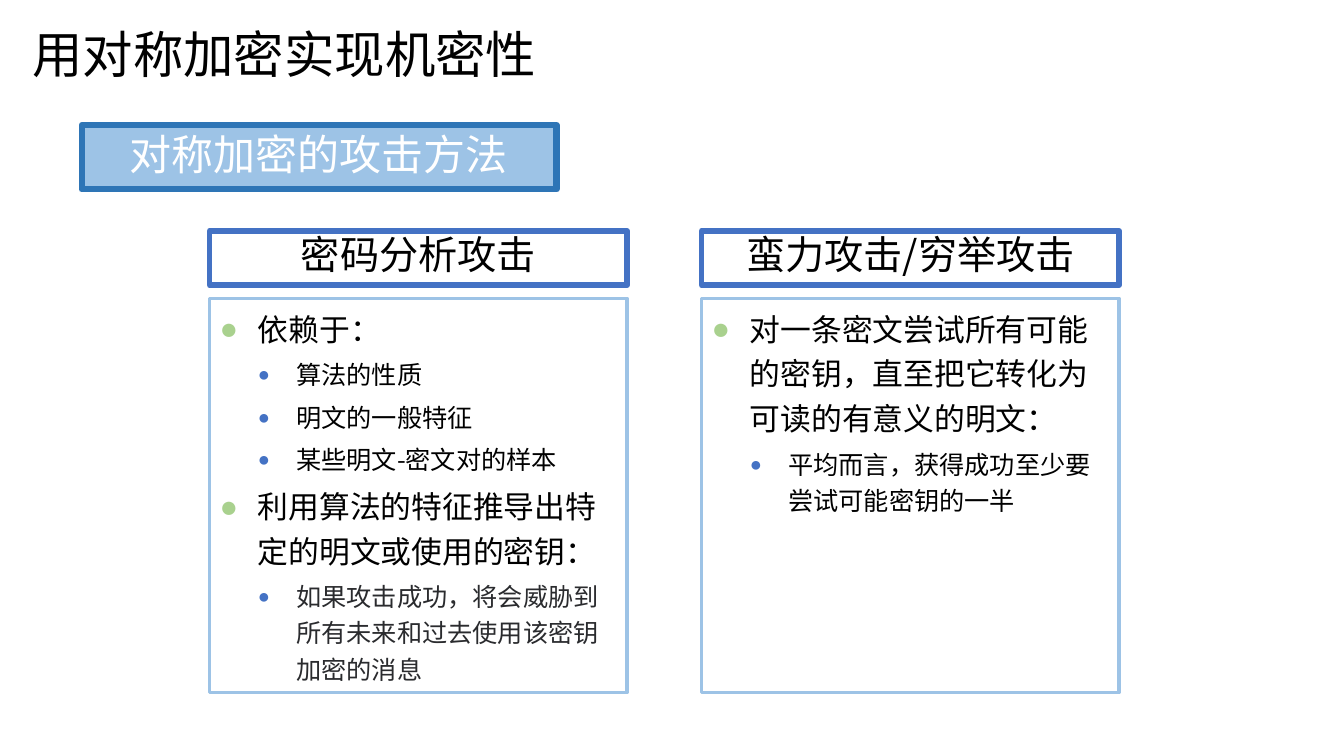
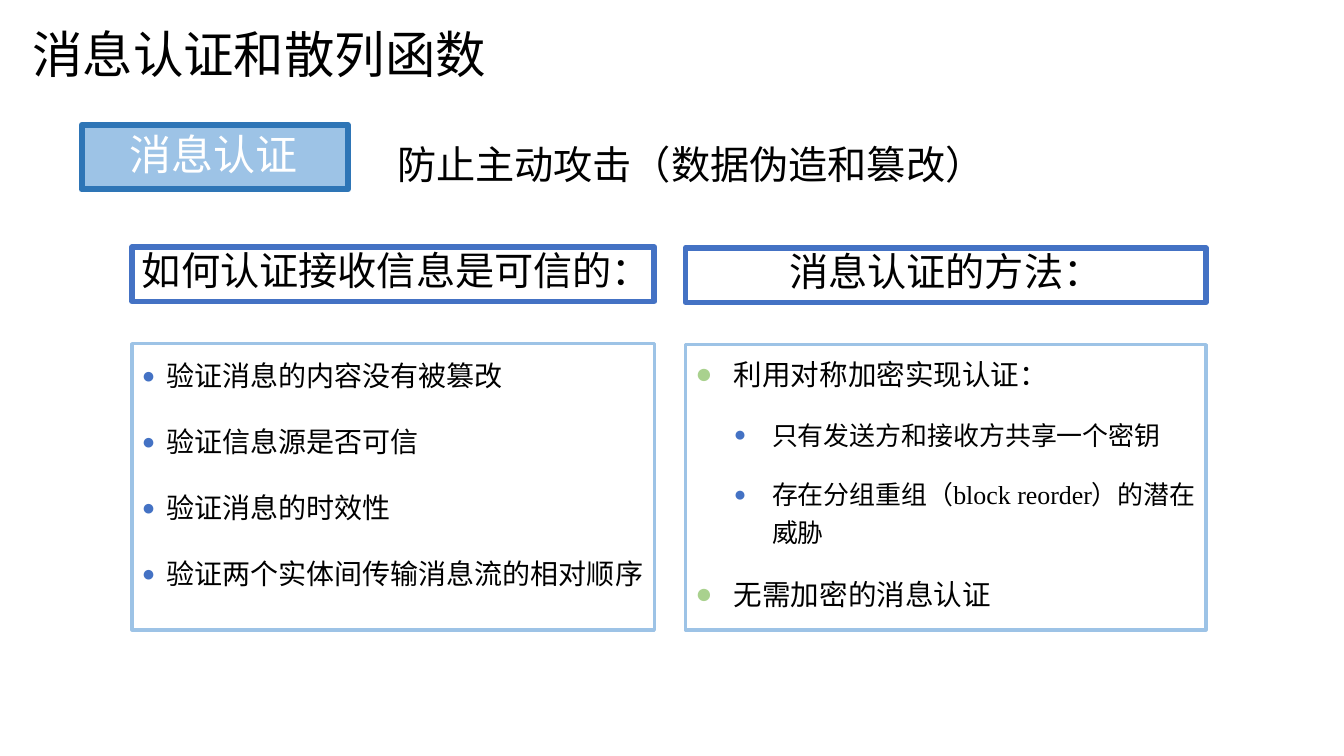
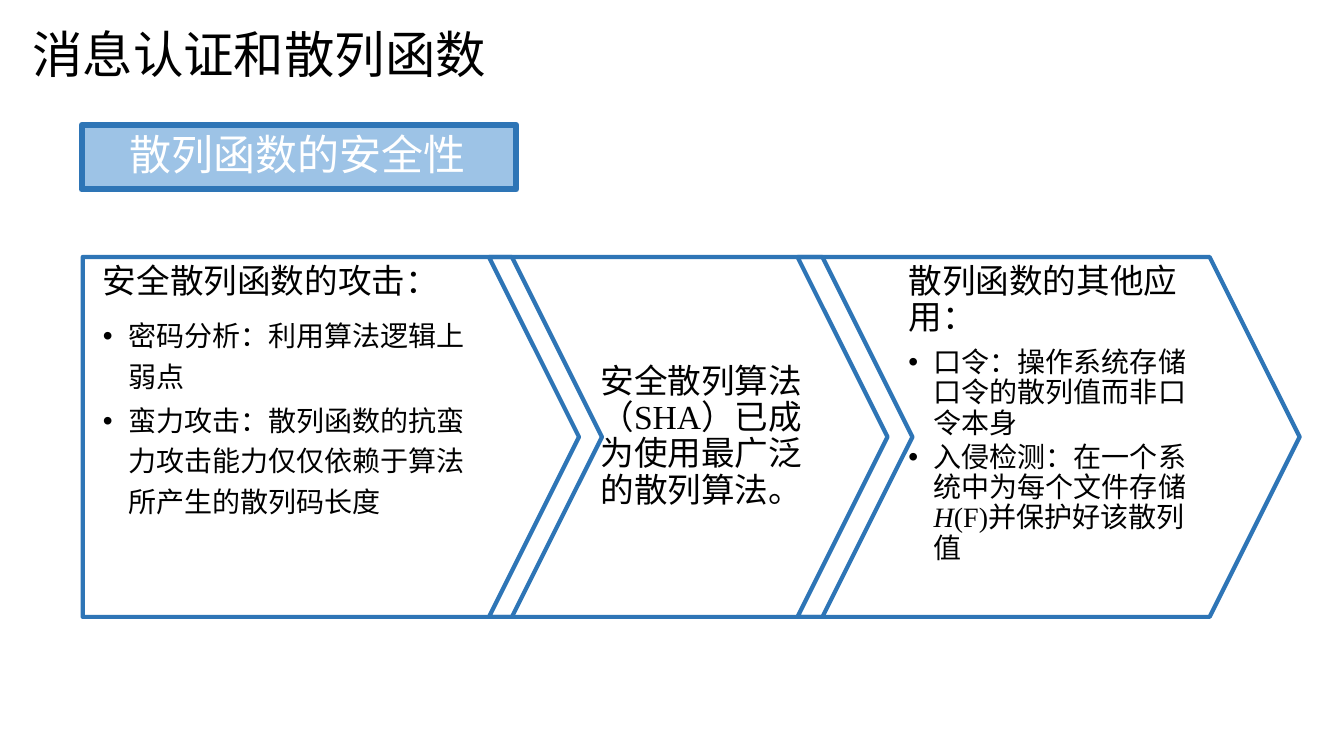
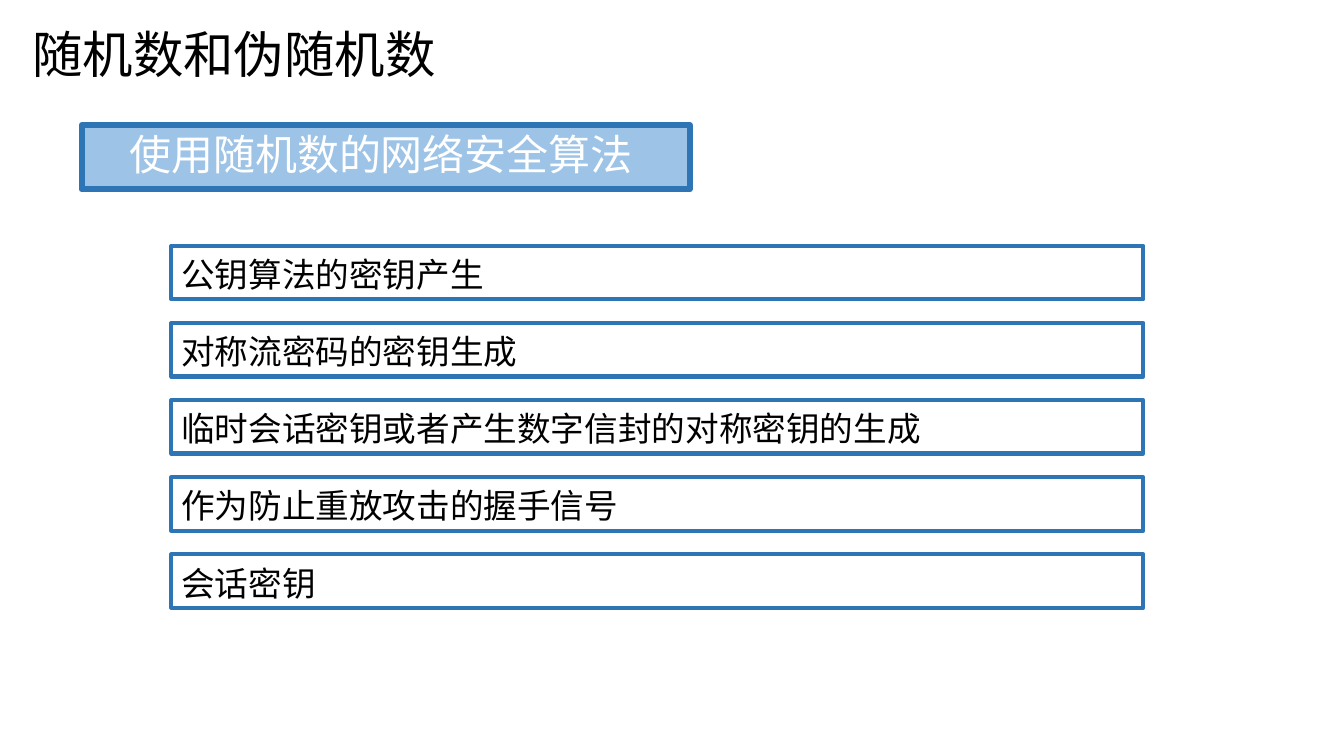
"""Build four slides on symmetric encryption, message authentication and random numbers."""
from dataclasses import dataclass, replace
from lxml import etree
from pptx import Presentation
from pptx.dml.color import RGBColor
from pptx.enum.shapes import MSO_SHAPE
from pptx.enum.text import MSO_ANCHOR, PP_ALIGN
from pptx.oxml.ns import qn
from pptx.util import Inches, Pt

RECTANGLE = MSO_SHAPE.RECTANGLE
PENTAGON = MSO_SHAPE.PENTAGON
CHEVRON = MSO_SHAPE.CHEVRON
LEFT, CENTER, JUSTIFY = PP_ALIGN.LEFT, PP_ALIGN.CENTER, PP_ALIGN.JUSTIFY
TOP, MIDDLE = MSO_ANCHOR.TOP, MSO_ANCHOR.MIDDLE

BLACK = RGBColor(0x00, 0x00, 0x00)
WHITE = RGBColor(0xFF, 0xFF, 0xFF)
CHARCOAL = RGBColor(0x2A, 0x2B, 0x2E)
SKY = RGBColor(0x9D, 0xC3, 0xE6)
BLUE = RGBColor(0x44, 0x72, 0xC4)
DEEP_BLUE = RGBColor(0x2E, 0x75, 0xB6)
GREEN = RGBColor(0xA9, 0xD1, 0x8E)

SANS = "Noto Sans CJK SC"
SERIF = "Times New Roman"
DEFAULT_INSETS = (0.1, 0.05, 0.1, 0.05)


@dataclass(frozen=True)
class Style:
    """Look of one paragraph."""
    size: float
    font: str = SANS
    color: RGBColor = BLACK
    align: int = LEFT
    level: int = 0
    spacing: float = 1.0
    before: float = 0
    after: float = 0
    bullet: str = ""
    bullet_color: RGBColor = BLACK
    bullet_percent: int = 100
    indent: float = 0
    hanging: float = 0


TITLE = Style(36)
BANNER = Style(30, color=WHITE, spacing=0.9, after=10.5)
HEADING = Style(28, align=CENTER, spacing=0.9)
POINT = Style(22, level=1, spacing=1.2, before=4.3, bullet="●",
              bullet_color=GREEN, indent=0.38, hanging=0.38)
SUBPOINT = replace(POINT, size=18, level=2, bullet_color=BLUE,
                   bullet_percent=80, indent=0.76)
STEP_HEADING = Style(24, spacing=0.9, after=8.4)
STEP_POINT = Style(20, level=1, spacing=1.2, after=3, bullet="•",
                   indent=0.25, hanging=0.25)


def add_bullet(properties, style):
    """Give paragraph properties the bullet of a style."""
    properties.set("marL", str(Inches(style.indent)))
    properties.set("indent", str(-Inches(style.hanging)))
    color = etree.SubElement(properties, qn("a:buClr"))
    etree.SubElement(color, qn("a:srgbClr"), val=str(style.bullet_color))
    etree.SubElement(properties, qn("a:buSzPct"), val=str(style.bullet_percent * 1000))
    etree.SubElement(properties, qn("a:buFont"), typeface="Arial")
    etree.SubElement(properties, qn("a:buChar"), char=style.bullet)


def format_paragraph(paragraph, style, first):
    """Apply a style to a paragraph."""
    paragraph.alignment = style.align
    paragraph.level = style.level
    paragraph.line_spacing = style.spacing
    paragraph.space_before = Pt(0 if first else style.before)
    paragraph.space_after = Pt(style.after)
    properties = paragraph._p.get_or_add_pPr()
    if style.bullet:
        add_bullet(properties, style)
    else:
        properties.set("marL", "0")
        properties.set("indent", "0")
    font = paragraph.font
    font.size = Pt(style.size)
    font.name = style.font
    font.color.rgb = style.color
    east_asian = etree.Element(qn("a:ea"), typeface=SANS)
    properties.find(qn("a:defRPr")).find(qn("a:latin")).addnext(east_asian)


def write(shape, items, anchor=TOP, insets=DEFAULT_INSETS):
    """Fill a shape with (style, text, ...) items; every second text is italic."""
    frame = shape.text_frame
    frame.word_wrap = True
    frame.vertical_anchor = anchor
    (frame.margin_left, frame.margin_top,
     frame.margin_right, frame.margin_bottom) = map(Inches, insets)
    for index, (style, *texts) in enumerate(items):
        paragraph = frame.paragraphs[0] if index == 0 else frame.add_paragraph()
        format_paragraph(paragraph, style, index == 0)
        for position, text in enumerate(texts):
            run = paragraph.add_run()
            run.text = text
            if position % 2:
                run.font.italic = True


def add_text(slide, box, items, anchor=TOP, insets=DEFAULT_INSETS):
    """Add a text box."""
    write(slide.shapes.add_textbox(*map(Inches, box)), items, anchor, insets)


def add_outline(slide, box, line, width, kind=RECTANGLE, fill=None):
    """Add an outlined shape, hollow unless a fill is given."""
    shape = slide.shapes.add_shape(kind, *map(Inches, box))
    shape.shadow.inherit = False
    if fill is None:
        shape.fill.background()
    else:
        shape.fill.solid()
        shape.fill.fore_color.rgb = fill
    shape.line.color.rgb = line
    shape.line.width = Pt(width)
    return shape


def add_topic_slide(deck, title, banner, banner_width):
    """Add a blank slide with its title and topic banner."""
    slide = deck.slides.add_slide(deck.slide_layouts[6])
    add_text(slide, (0.21, 0, 5.91, 1.06), [(TITLE, title)],
             MIDDLE, (0.11, 0.06, 0.11, 0.06))
    shape = add_outline(slide, (0.81, 1.24, banner_width, 0.64), DEEP_BLUE, 4.33, fill=SKY)
    write(shape, [(BANNER, banner)], MIDDLE, (0.47, 0, 0.47, 0))
    return slide


def add_card(slide, left, width, heading_top, body_top, body_height, heading, items):
    """Add a heading box with a body box below it."""
    write(add_outline(slide, (left, heading_top, width, 0.54), BLUE, 4), [heading])
    write(add_outline(slide, (left, body_top, width, body_height), SKY, 2.5), items)


def add_step(slide, kind, left, width, text_left, text_width, items,
             anchor=TOP, right_inset=0.2):
    """Add one arrow of the chain and its text."""
    arrow = add_outline(slide, (left, 2.55, width, 3.57), DEEP_BLUE, 3, kind)
    arrow.adjustments[0] = 0.25
    add_text(slide, (text_left, 2.55, text_width, 3.57), items,
             anchor, (0.2, 0.07, right_inset, 0.07))


def build_attacks(deck):
    """Build the slide on attacks against symmetric encryption."""
    slide = add_topic_slide(deck, "用对称加密实现机密性", "对称加密的攻击方法", 4.71)
    add_card(slide, 2.08, 4.14, 2.29, 2.96, 3.91, (HEADING, "密码分析攻击"), [
        (POINT, "依赖于："),
        (SUBPOINT, "算法的性质"),
        (SUBPOINT, "明文的一般特征"),
        (SUBPOINT, "某些明文-密文对的样本"),
        (POINT, "利用算法的特征推导出特定的明文或使用的密钥："),
        (replace(SUBPOINT, color=CHARCOAL),
         "如果攻击成功，将会威胁到所有未来和过去使用该密钥加密的消息"),
    ])
    add_card(slide, 6.96, 4.14, 2.29, 2.96, 3.91, (HEADING, "蛮力攻击/穷举攻击"), [
        (POINT, "对一条密文尝试所有可能的密钥，直至把它转化为可读的有意义的明文："),
        (replace(SUBPOINT, before=5), "平均而言，获得成功至少要尝试可能密钥的一半"),
    ])


def build_authentication(deck):
    """Build the slide on message authentication."""
    slide = add_topic_slide(deck, "消息认证和散列函数", "消息认证", 2.64)
    heading = replace(HEADING, font=SERIF)
    point = replace(POINT, size=20.4, font=SERIF, before=8, after=8)
    subpoint = replace(SUBPOINT, size=18.5, font=SERIF, before=8, after=8)
    check = replace(subpoint, size=20, level=0, spacing=1.3, indent=0.24, hanging=0.24)
    add_card(slide, 1.31, 5.18, 2.45, 3.41, 2.84,
             (replace(heading, align=LEFT), "如何认证接收信息是可信的："), [
                 (check, "验证消息的内容没有被篡改"),
                 (check, "验证信息源是否可信"),
                 (check, "验证消息的时效性"),
                 (check, "验证两个实体间传输消息流的相对顺序"),
             ])
    add_card(slide, 6.8, 5.16, 2.46, 3.42, 2.83, (heading, "消息认证的方法："), [
        (point, "利用对称加密实现认证："),
        (subpoint, "只有发送方和接收方共享一个密钥"),
        (subpoint, "存在分组重组（block reorder）的潜在威胁"),
        (point, "无需加密的消息认证"),
    ])
    purpose = Style(28, align=JUSTIFY, level=1, spacing=1.2, after=4.2)
    add_text(slide, (3.84, 1.25, 6.1, 0.62), [(purpose, "防止主动攻击（数据伪造和篡改）")])


def build_hash_security(deck):
    """Build the slide on the security of hash functions."""
    slide = add_topic_slide(deck, "消息认证和散列函数", "散列函数的安全性", 4.31)
    serif_heading = replace(STEP_HEADING, font=SERIF)
    tight_point = replace(STEP_POINT, font=SERIF, spacing=0.9)
    add_step(slide, PENTAGON, 0.82, 5.15, 0.82, 4.7, [
        (STEP_HEADING, "安全散列函数的攻击："),
        (STEP_POINT, "密码分析：利用算法逻辑上弱点"),
        (STEP_POINT, "蛮力攻击：散列函数的抗蛮力攻击能力仅仅依赖于算法所产生的散列码长度"),
    ], right_inset=0.78)
    add_step(slide, CHEVRON, 4.85, 4.2, 5.75, 2.41, [
        (replace(serif_heading, align=CENTER),
         "安全散列算法（SHA）已成为使用最广泛的散列算法。"),
    ], MIDDLE)
    add_step(slide, CHEVRON, 7.91, 4.98, 8.81, 3.22, [
        (serif_heading, "散列函数的其他应用："),
        (tight_point, "口令：操作系统存储口令的散列值而非口令本身"),
        (tight_point, "入侵检测：在一个系统中为每个文件存储", "H", "(F)并保护好该散列值"),
    ])


def build_random_numbers(deck):
    """Build the slide on uses of random numbers."""
    slide = add_topic_slide(deck, "随机数和伪随机数", "使用随机数的网络安全算法", 6.03)
    uses = [
        "公钥算法的密钥产生",
        "对称流密码的密钥生成",
        "临时会话密钥或者产生数字信封的对称密钥的生成",
        "作为防止重放攻击的握手信号",
        "会话密钥",
    ]
    first_top, last_top = 2.44, 5.5
    pitch = (last_top - first_top) / (len(uses) - 1)
    for index, use in enumerate(uses):
        row = add_outline(slide, (1.7, first_top + index * pitch, 9.64, 0.53), DEEP_BLUE, 3)
        write(row, [(Style(24), use)], insets=(0.1, 0.08, 0.1, 0.05))


def main():
    """Build and save the deck."""
    deck = Presentation()
    deck.slide_width, deck.slide_height = Inches(13.33), Inches(7.5)
    build_attacks(deck)
    build_authentication(deck)
    build_hash_security(deck)
    build_random_numbers(deck)
    deck.save("out.pptx")


if __name__ == "__main__":
    main()
